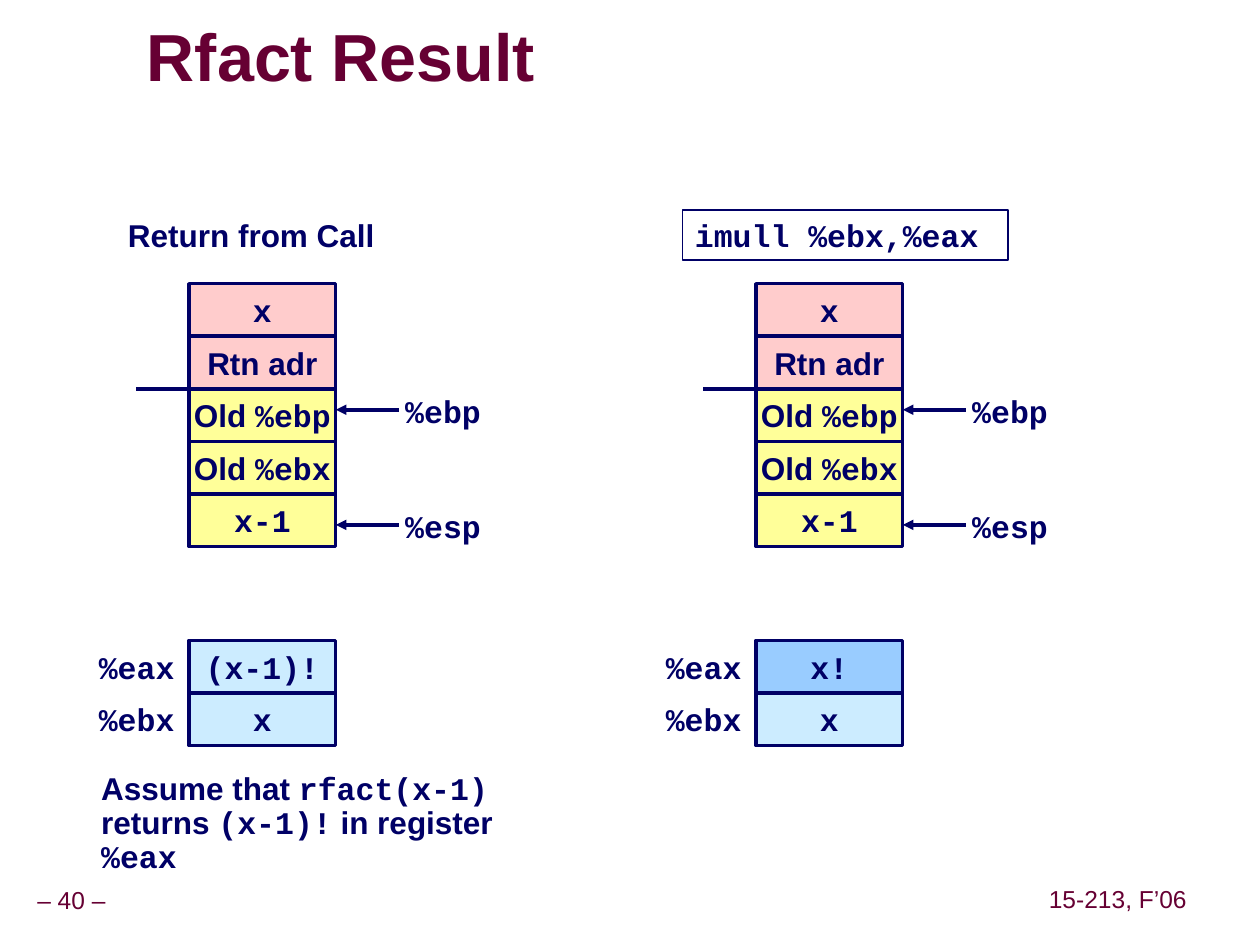
from dataclasses import dataclass

from lxml import etree
from pptx import Presentation
from pptx.dml.color import RGBColor
from pptx.enum.shapes import MSO_CONNECTOR, MSO_SHAPE
from pptx.enum.text import MSO_ANCHOR, MSO_AUTO_SIZE, PP_ALIGN
from pptx.oxml import parse_xml
from pptx.oxml.ns import nsdecls, qn
from pptx.util import Cm, Pt

LEFT, CENTER = PP_ALIGN.LEFT, PP_ALIGN.CENTER
TOP, MIDDLE = MSO_ANCHOR.TOP, MSO_ANCHOR.MIDDLE
FIT = MSO_AUTO_SIZE.SHAPE_TO_FIT_TEXT
RECT = MSO_SHAPE.RECTANGLE
STRAIGHT = MSO_CONNECTOR.STRAIGHT


@dataclass(frozen=True)
class Theme:
    ink: str = "000066"
    wine: str = "660033"
    white: str = "FFFFFF"
    pink: str = "FFCCCC"
    yellow: str = "FFFF99"
    pale: str = "CCECFF"
    blue: str = "99CCFF"
    sans: str = "Arial"
    mono: str = "Courier New"
    title: int = 38
    body: int = 18
    foot: int = 14
    thick: int = 2
    thin: int = 1


@dataclass(frozen=True)
class Cell:
    text: str
    fill: str


@dataclass(frozen=True)
class Box:
    left: float
    top: float
    width: float
    height: float

    def size(self) -> tuple:
        return Cm(self.left), Cm(self.top), Cm(self.width), Cm(self.height)


@dataclass(frozen=True)
class Panel:
    left: float
    regs: tuple


THEME = Theme()
WIDE, HIGH = 2.96, 1.06
STACK_TOP, REG_TOP = 5.72, 12.91
STACK = (
    Cell("`x`", THEME.pink),
    Cell("Rtn adr", THEME.pink),
    Cell("Old `%ebp`", THEME.yellow),
    Cell("Old `%ebx`", THEME.yellow),
    Cell("`x-1`", THEME.yellow),
)
POINTERS = (("`%ebp`", 8.26), ("`%esp`", 10.58))
NAMES = ("`%eax`", "`%ebx`")
PANELS = (
    Panel(3.81, (Cell("`(x-1)!`", THEME.pale), Cell("`x`", THEME.pale))),
    Panel(15.24, (Cell("`x!`", THEME.blue), Cell("`x`", THEME.pale))),
)


def write(shape, text: str, align=LEFT, anchor=TOP, size: int = THEME.body,
          color: str = THEME.ink, bold: bool = True, wrap: bool = False,
          pad: float = 0.25, space: float = 1.0) -> None:
    """Text between backticks is set in the monospaced font."""
    frame = shape.text_frame
    frame.word_wrap = wrap
    frame.vertical_anchor = anchor
    frame.margin_left = frame.margin_right = Cm(pad)
    frame.margin_top = frame.margin_bottom = Cm(min(pad, 0.13))
    para = frame.paragraphs[0]
    para.alignment = align
    para.line_spacing = space
    font = para.font
    font.size, font.bold = Pt(size), bold
    font.color.rgb = RGBColor.from_string(color)
    parts = [(part, THEME.mono if i % 2 else THEME.sans)
             for i, part in enumerate(text.split("`")) if part]
    for part, face in parts:
        run = para.add_run()
        run.text = part
        if len(parts) > 1:
            run.font.name = face
    if len(parts) == 1:
        font.name = parts[0][1]


def add_label(slide, box: Box, text: str, **style) -> None:
    label = slide.shapes.add_textbox(*box.size())
    write(label, text, **style)
    label.text_frame.auto_size = FIT


def add_rect(slide, box: Box, fill: str = "", line: int = 0):
    rect = slide.shapes.add_shape(RECT, *box.size())
    rect.shadow.inherit = False
    if fill:
        rect.fill.solid()
        rect.fill.fore_color.rgb = RGBColor.from_string(fill)
    else:
        rect.fill.background()
    if line:
        rect.line.color.rgb = RGBColor.from_string(THEME.ink)
        rect.line.width = Pt(line)
    else:
        rect.line.fill.background()
    return rect


def add_cell(slide, box: Box, cell: Cell, line: int = THEME.thick) -> None:
    rect = add_rect(slide, box, cell.fill, line)
    write(rect, cell.text, align=CENTER, anchor=MIDDLE)


def add_line(slide, start: float, end: float, top: float,
             arrow: bool = False) -> None:
    line = slide.shapes.add_connector(
        STRAIGHT, Cm(start), Cm(top), Cm(end), Cm(top))
    line.line.color.rgb = RGBColor.from_string(THEME.ink)
    line.line.width = Pt(THEME.thick)
    if arrow:
        tail = etree.SubElement(line.line._get_or_add_ln(), qn("a:tailEnd"))
        tail.set("type", "triangle")
    etree.SubElement(line._element.spPr, qn("a:effectLst"))


def add_panel(slide, panel: Panel) -> None:
    left, right = panel.left, panel.left + WIDE
    for row, cell in enumerate(STACK):
        add_cell(slide, Box(left, STACK_TOP + row * HIGH, WIDE, HIGH), cell)
    for text, top in POINTERS:
        add_line(slide, right + 1.27, right, top, arrow=True)
        add_label(slide, Box(right + 1.15, top - 0.48, 2.03, 1.02), text)
    add_line(slide, left - 1.06, left, STACK_TOP + 2 * HIGH)
    for row, (name, cell) in enumerate(zip(NAMES, panel.regs)):
        top = REG_TOP + row * HIGH
        add_cell(slide, Box(left - 1.9, top, 1.69, HIGH),
                 Cell(name, THEME.white), line=0)
        add_cell(slide, Box(left, top, WIDE, HIGH), cell)


def add_title(slide, text: str) -> None:
    title = slide.shapes.title
    title.left, title.top, title.width, title.height = Box(
        2.96, 0.43, 14.33, 1.6).size()
    write(title, text, anchor=MIDDLE, size=THEME.title, color=THEME.wine,
          wrap=True, pad=0, space=0.87)
    props = title.text_frame.paragraphs[0].runs[0]._r.get_or_add_rPr()
    props.append(parse_xml(
        f'<a:effectLst {nsdecls("a")}><a:outerShdw dist="53882" dir="2700000">'
        '<a:srgbClr val="969696"/></a:outerShdw></a:effectLst>'))


def main() -> None:
    deck = Presentation()
    deck.slide_width, deck.slide_height = Cm(25.4), Cm(19.05)
    slide = deck.slides.add_slide(deck.slide_layouts[5])
    add_title(slide, "Rfact Result")
    for panel in PANELS:
        add_panel(slide, panel)
    add_label(slide, Box(2.33, 4.23, 5.93, 1.02), "Return from Call", wrap=True)
    code = add_rect(slide, Box(13.76, 4.23, 6.56, 1.02), line=THEME.thin)
    write(code, "`imull %ebx,%eax`", wrap=True)
    add_label(slide, Box(1.91, 15.45, 8.47, 2.31),
              "Assume that `rfact(x-1)` returns `(x-1)!` in register `%eax`",
              wrap=True, pad=0.13, space=0.9)
    for text, left, top, width in (("– 40 –", -0.22, 17.79, 3.32),
                                   ("15-213, F’06", 21.01, 17.76, 3.05)):
        add_label(slide, Box(left, top, width, 0.79), text, align=CENTER,
                  anchor=MIDDLE, size=THEME.foot, color=THEME.wine,
                  bold=False, pad=0.13, space=0.9)
    deck.save("out.pptx")


if __name__ == "__main__":
    main()
